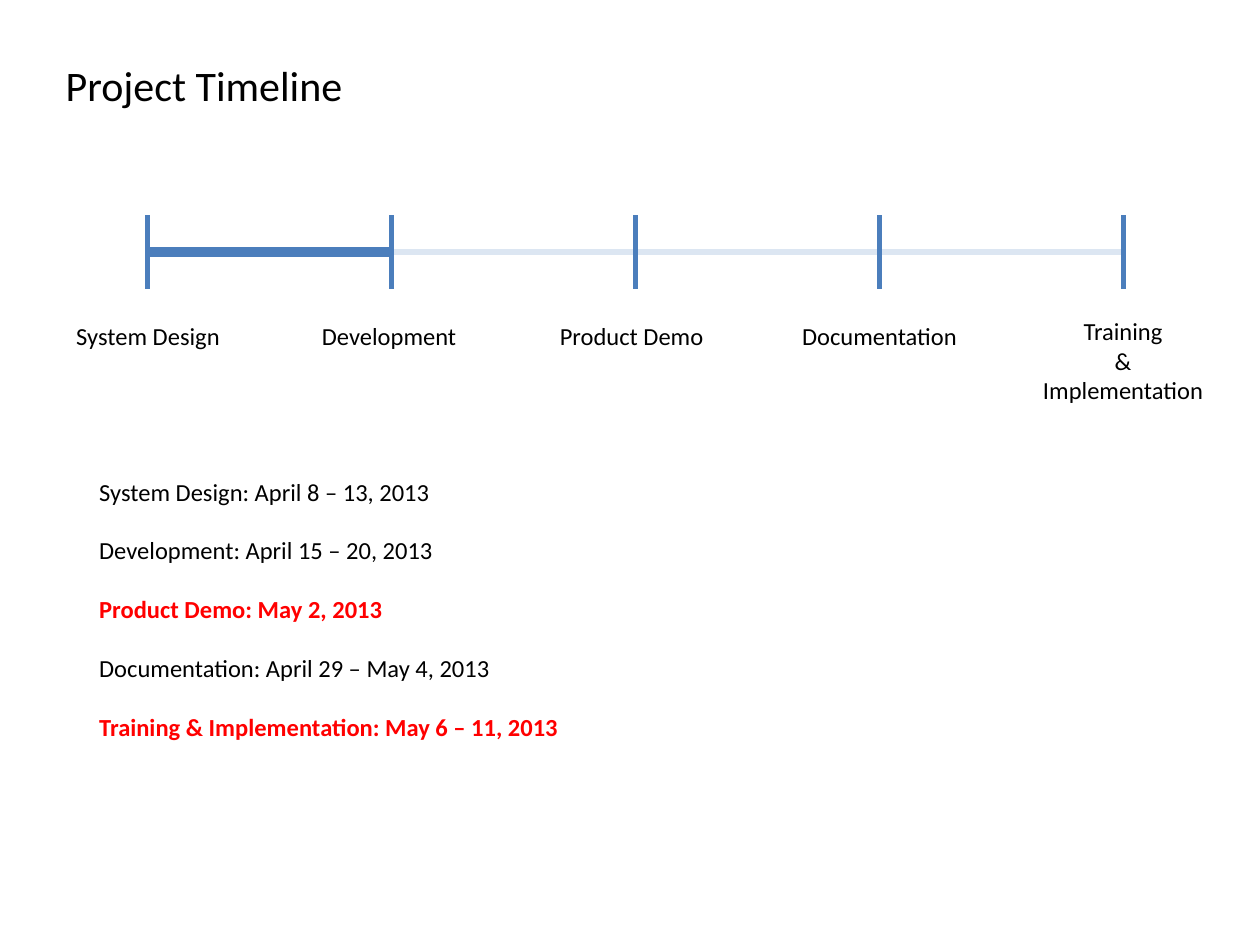
"""Build the project timeline slide."""
from dataclasses import dataclass

from lxml.etree import SubElement
from pptx import Presentation
from pptx.dml.color import RGBColor
from pptx.enum.shapes import MSO_CONNECTOR
from pptx.enum.text import MSO_ANCHOR, MSO_AUTO_SIZE, PP_ALIGN
from pptx.oxml.ns import qn
from pptx.util import Cm, Pt

COLORS = {"text": "000000", "alert": "FF0000", "done": "4B7EBC", "track": "DCE6F2"}
START, STEP, AXIS, TICK = 2.97, 4.92, 5.08, 0.74


@dataclass
class Stage:
    label: str
    dates: str
    left: float
    width: float
    top: float = 6.35
    height: float = 0.86
    alert: bool = False

    @property
    def summary(self) -> str:
        return f"{' '.join(self.label.splitlines())}: {self.dates}"


STAGES = [
    Stage("System Design", "April 8 – 13, 2013", 1.27, 3.43),
    Stage("Development", "April 15 – 20, 2013", 6.22, 3.25),
    Stage("Product Demo", "May 2, 2013", 11.02, 3.43, alert=True),
    Stage("Documentation", "April 29 – May 4, 2013", 15.9, 3.66),
    Stage("Training\n&\nImplementation", "May 6 – 11, 2013", 20.75, 3.78, 6.25, 2.06, True),
]


def draw_line(page, start: tuple, end: tuple, color: str, weight: float) -> None:
    line = page.shapes.add_connector(MSO_CONNECTOR.STRAIGHT, *map(Cm, start + end))
    line.line.color.rgb = RGBColor.from_string(COLORS[color])
    line.line.width = Pt(weight)
    SubElement(line._element.spPr, qn("a:effectLst"))


def add_box(page, left: float, top: float, width: float, height: float):
    return page.shapes.add_textbox(*map(Cm, (left, top, width, height)))


def write(box, lines: list, size: float, wrap: bool = True,
          alerts: tuple = (), **paragraph_format) -> None:
    frame = box.text_frame
    frame.text = "\n".join(lines)
    frame_format = {"word_wrap": wrap, "auto_size": MSO_AUTO_SIZE.SHAPE_TO_FIT_TEXT,
                    "vertical_anchor": MSO_ANCHOR.TOP}
    for name, value in frame_format.items():
        setattr(frame, name, value)
    for index, para in enumerate(frame.paragraphs):
        alert = index in alerts
        for name, value in paragraph_format.items():
            setattr(para, name, value)
        for span in para.runs:
            for name, value in {"name": "Calibri", "size": Pt(size), "bold": alert}.items():
                setattr(span.font, name, value)
            span.font.color.rgb = RGBColor.from_string(COLORS["alert" if alert else "text"])


def draw_timeline(page, stages: list[Stage]) -> None:
    ticks = [START + STEP * index for index in range(len(stages))]
    draw_line(page, (START, AXIS), (ticks[-1], AXIS), "track", 3)
    for x, stage in zip(ticks, stages):
        draw_line(page, (x, AXIS - TICK), (x, AXIS + TICK), "done", 3)
        box = add_box(page, stage.left, stage.top, stage.width, stage.height)
        write(box, stage.label.splitlines(), 14, wrap=False, alignment=PP_ALIGN.CENTER)
    draw_line(page, (START, AXIS), (ticks[1], AXIS), "done", 6)


def main() -> None:
    deck = Presentation()
    deck.slide_width, deck.slide_height = Cm(25.4), Cm(19.05)
    page = deck.slides.add_slide(deck.slide_layouts[5])

    title = page.shapes.title
    title.left, title.top, title.width, title.height = map(Cm, (1.07, 1.07, 16.94, 1.27))
    write(title, ["Project Timeline"], 24, alignment=PP_ALIGN.LEFT)

    draw_timeline(page, STAGES)

    schedule = add_box(page, 1.75, 8.89, 9.83, 6.25)
    alerts = tuple(index for index, stage in enumerate(STAGES) if stage.alert)
    write(schedule, [stage.summary for stage in STAGES], 14, alerts=alerts, line_spacing=2.0)

    deck.save("out.pptx")


if __name__ == "__main__":
    main()
